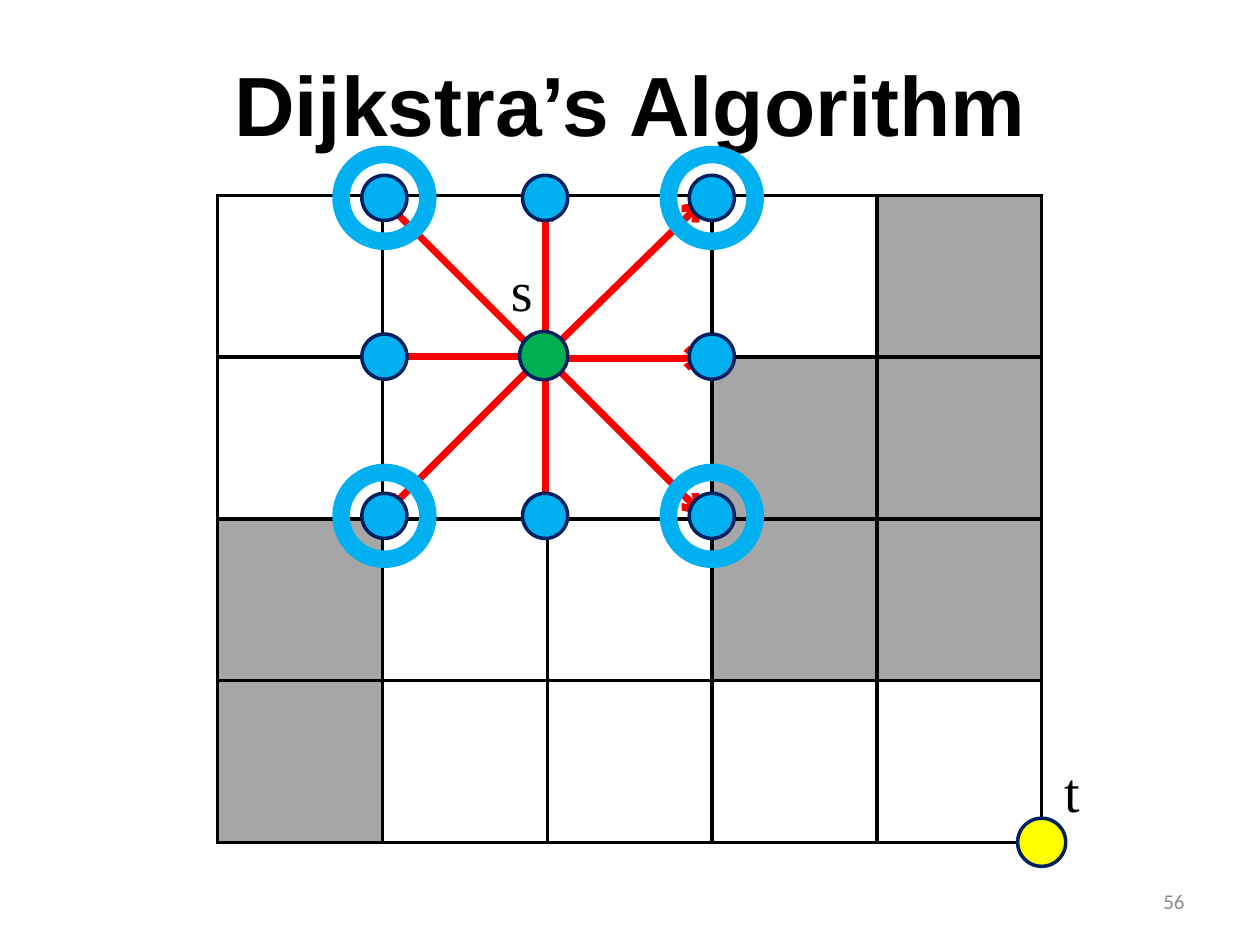
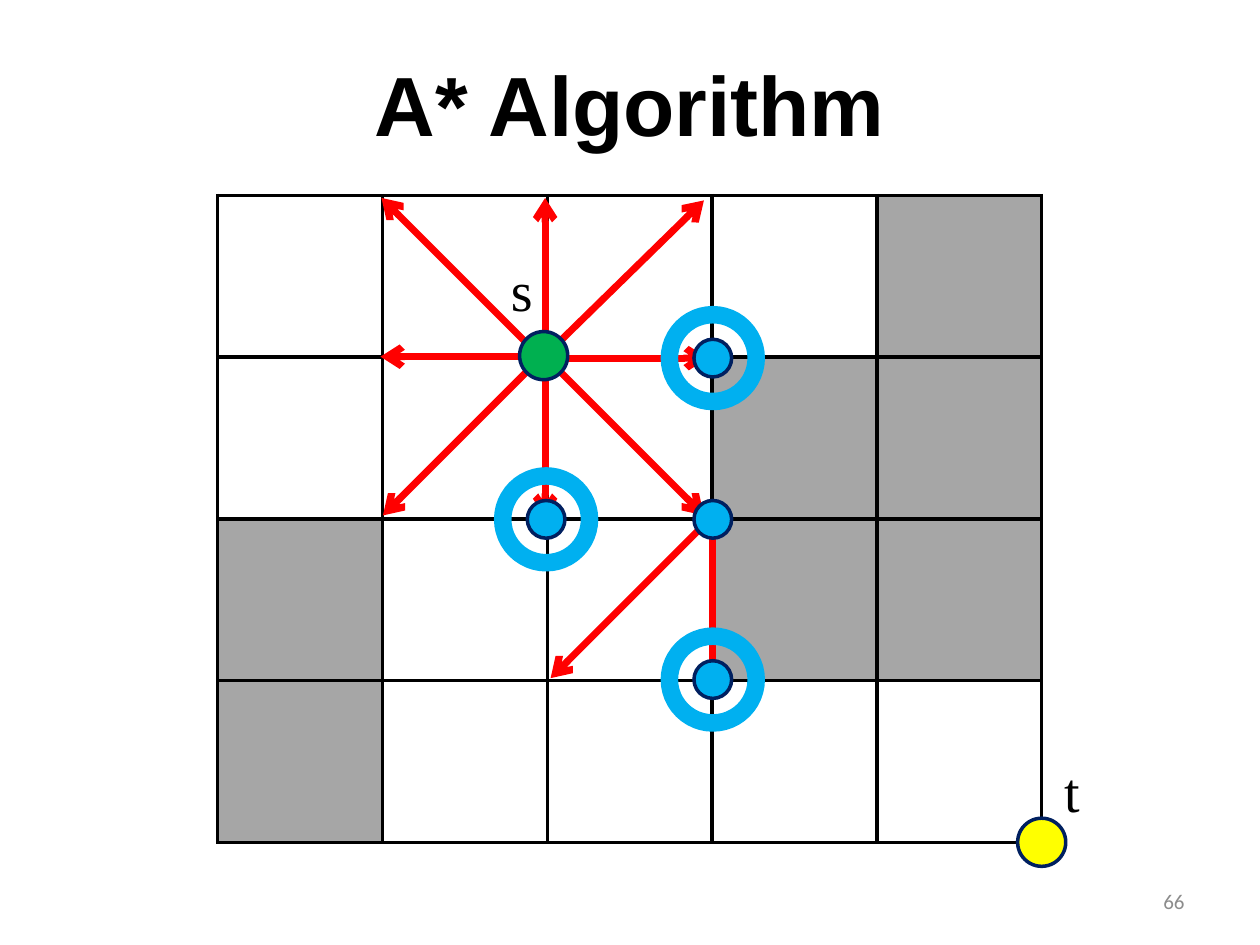
from itertools import product
from typing import NamedTuple

from pptx import Presentation
from pptx.dml.color import RGBColor
from pptx.enum.shapes import MSO_CONNECTOR, MSO_SHAPE
from pptx.enum.text import MSO_ANCHOR, MSO_AUTO_SIZE, PP_ALIGN
from pptx.oxml import parse_xml
from pptx.oxml.ns import nsdecls
from pptx.util import Cm, Pt


class Box(NamedTuple):
    """A region of the slide, in centimetres."""
    left: float
    top: float
    width: float
    height: float

    def inner(self, left, top, width, height):
        """Return a box placed relative to this one."""
        return Box(self.left + left, self.top + top, width, height)

    def lengths(self):
        """Return the four lengths for a python-pptx call."""
        return [Cm(value) for value in self]


BLACK, WHITE, GREY, NUMBER_GREY = "000000", "FFFFFF", "A6A6A6", "8C8C8C"
RED, GREEN, YELLOW, BLUE, NAVY = "FF0000", "00B050", "FFFF00", "00B0F0", "002060"

COLUMNS, ROWS = 5, 4
BOARD = Box(4.39, 3.94, 16.61, 13.04)
NUMBER = Box(18.21, 17.65, 5.92, 1.02)
SLIDE_WIDTH, SLIDE_HEIGHT = 25.4, 19.05

OBSTACLES = {(0, 4), (1, 3), (1, 4), (2, 0), (2, 3), (2, 4), (3, 0)}
WHITE_CELLS = set(product((2, 3), (1, 2)))

START = (6.57, 3.23)
GOAL = (BOARD.width, BOARD.height)
START_ARROWS = [
    ((6.6, 3.25), (9.8, 6.45)),
    ((6.3, 3.05), (3.3, 0.05)),
    ((6.3, 3.28), (9.88, 3.28)),
    ((6.48, 3.25), (3.28, 3.25)),
    ((6.6, 3.33), (6.6, 6.5)),
    ((6.6, 2.9), (6.6, 0.05)),
    ((6.53, 3.3), (9.8, 0.1)),
    ((6.48, 3.3), (3.33, 6.45)),
]

NEAR_COLUMNS, NEAR_ROWS = (3.36, 6.6, 9.96), (0.05, 3.25, 6.46)
NEIGHBOURS = [point for point in product(NEAR_COLUMNS, NEAR_ROWS) if point != (6.6, 3.25)]
CORNERS = list(product(NEAR_COLUMNS[::2], NEAR_ROWS[::2]))

EXPANDED = (9.98, 6.53)
FRONTIER = [(9.98, 9.76), (6.62, 6.53), (9.98, 3.28)]
EXPANDED_ARROWS = [
    ((9.98, 6.76), (9.98, 9.93)),
    ((9.86, 6.58), (6.71, 9.73)),
]


def color(value):
    """Turn a hex string into a colour."""
    return RGBColor.from_string(value)


def style_text(text_frame, font_name, size, text_color, bold=False, align=PP_ALIGN.LEFT):
    """Format every paragraph and run of a text frame."""
    for paragraph in text_frame.paragraphs:
        paragraph.alignment = align
        for run in paragraph.runs:
            run.font.name = font_name
            run.font.size = Pt(size)
            run.font.bold = bold
            run.font.color.rgb = color(text_color)


def add_title(slide, text, width):
    """Place the title centred at the top of the slide."""
    title = slide.shapes.title
    box = Box((SLIDE_WIDTH - width) / 2, 0.91, width, 2.31)
    title.left, title.top, title.width, title.height = box.lengths()
    title.text_frame.text = text
    title.text_frame.word_wrap = False
    title.text_frame.auto_size = MSO_AUTO_SIZE.SHAPE_TO_FIT_TEXT
    style_text(title.text_frame, "Arial", 48, BLACK, bold=True, align=PP_ALIGN.CENTER)


def add_number(slide, box, number):
    """Write the slide number at the right of its box."""
    text_frame = slide.shapes.add_textbox(*box.lengths()).text_frame
    text_frame.text = number
    text_frame.word_wrap = True
    text_frame.vertical_anchor = MSO_ANCHOR.MIDDLE
    style_text(text_frame, "Calibri", 12, NUMBER_GREY, align=PP_ALIGN.RIGHT)


def style_cell(cell, fill):
    """Give a cell black borders and its fill, if it has one."""
    properties = cell._tc.get_or_add_tcPr()
    for side in ("lnL", "lnR", "lnT", "lnB"):
        properties.append(parse_xml(
            f'<a:{side} {nsdecls("a")} w="{Pt(2.25)}"><a:solidFill>'
            f'<a:srgbClr val="{BLACK}"/></a:solidFill></a:{side}>'))
    if fill:
        cell.fill.solid()
        cell.fill.fore_color.rgb = color(fill)
    else:
        cell.fill.background()


def add_grid(slide, box):
    """Draw the grid with its obstacle cells."""
    table = slide.shapes.add_table(ROWS, COLUMNS, *box.lengths()).table
    table.first_row = table.horz_banding = False
    for row, column in product(range(ROWS), range(COLUMNS)):
        fill = None
        if (row, column) in OBSTACLES:
            fill = GREY
        elif (row, column) in WHITE_CELLS:
            fill = WHITE
        style_cell(table.cell(row, column), fill)


def add_arrow(slide, box, start, end):
    """Draw a red arrow between two points of the box."""
    points = [Cm(value) for value in (box.left + start[0], box.top + start[1],
                                      box.left + end[0], box.top + end[1])]
    arrow = slide.shapes.add_connector(MSO_CONNECTOR.STRAIGHT, *points)
    arrow.line.color.rgb = color(RED)
    arrow.line.width = Pt(4)
    arrow.line._get_or_add_ln().append(
        parse_xml(f'<a:tailEnd {nsdecls("a")} type="arrow"/>'))
    arrow._element.spPr.append(parse_xml(f'<a:effectLst {nsdecls("a")}/>'))


def add_circle(slide, box, center, diameter, fill, line_color=NAVY, line_width=2):
    """Draw a circle around a point of the box."""
    x, y = center
    place = box.inner(x - diameter / 2, y - diameter / 2, diameter, diameter)
    circle = slide.shapes.add_shape(MSO_SHAPE.OVAL, *place.lengths())
    circle.shadow.inherit = False
    if fill:
        circle.fill.solid()
        circle.fill.fore_color.rgb = color(fill)
    else:
        circle.fill.background()
    circle.line.color.rgb = color(line_color)
    circle.line.width = Pt(line_width)


def add_label(slide, box, text):
    """Write the letter that names a node."""
    text_frame = slide.shapes.add_textbox(*box.lengths()).text_frame
    text_frame.text = text
    text_frame.word_wrap = False
    text_frame.auto_size = MSO_AUTO_SIZE.SHAPE_TO_FIT_TEXT
    style_text(text_frame, "Times New Roman", 32, BLACK)


def add_board(slide, box):
    """Draw the grid, the arrows from the start, and both end nodes."""
    add_grid(slide, box)
    for start, end in START_ARROWS:
        add_arrow(slide, box, start, end)
    add_label(slide, box.inner(16.81, 11.18, 0.89, 1.63), "t")
    add_label(slide, box.inner(5.66, 1.09, 0.99, 1.63), "s")
    add_circle(slide, box, START, 0.97, GREEN)
    add_circle(slide, box, GOAL, 0.97, YELLOW)


def add_search(slide, box, nodes, diameter, ringed):
    """Draw the reached nodes and ring some of them."""
    for node in nodes:
        add_circle(slide, box, node, diameter, BLUE)
    for node in ringed:
        add_circle(slide, box, node, 1.75, None, BLUE, 10)


def add_algorithm_slide(presentation, title, title_width, number):
    """Add a slide with what both algorithms share."""
    slide = presentation.slides.add_slide(presentation.slide_layouts[5])
    add_title(slide, title, title_width)
    add_board(slide, BOARD)
    add_number(slide, NUMBER, number)
    return slide


def main():
    """Build and save the presentation."""
    presentation = Presentation()
    presentation.slide_width = Cm(SLIDE_WIDTH)
    presentation.slide_height = Cm(SLIDE_HEIGHT)

    dijkstra = add_algorithm_slide(presentation, "Dijkstra’s Algorithm", 16.64, "56")
    add_search(dijkstra, BOARD, NEIGHBOURS, 0.91, CORNERS)

    a_star = add_algorithm_slide(presentation, "A* Algorithm", 10.9, "66")
    for start, end in EXPANDED_ARROWS:
        add_arrow(a_star, BOARD, start, end)
    add_search(a_star, BOARD, [EXPANDED, *FRONTIER], 0.76, FRONTIER)

    presentation.save("out.pptx")


if __name__ == "__main__":
    main()
